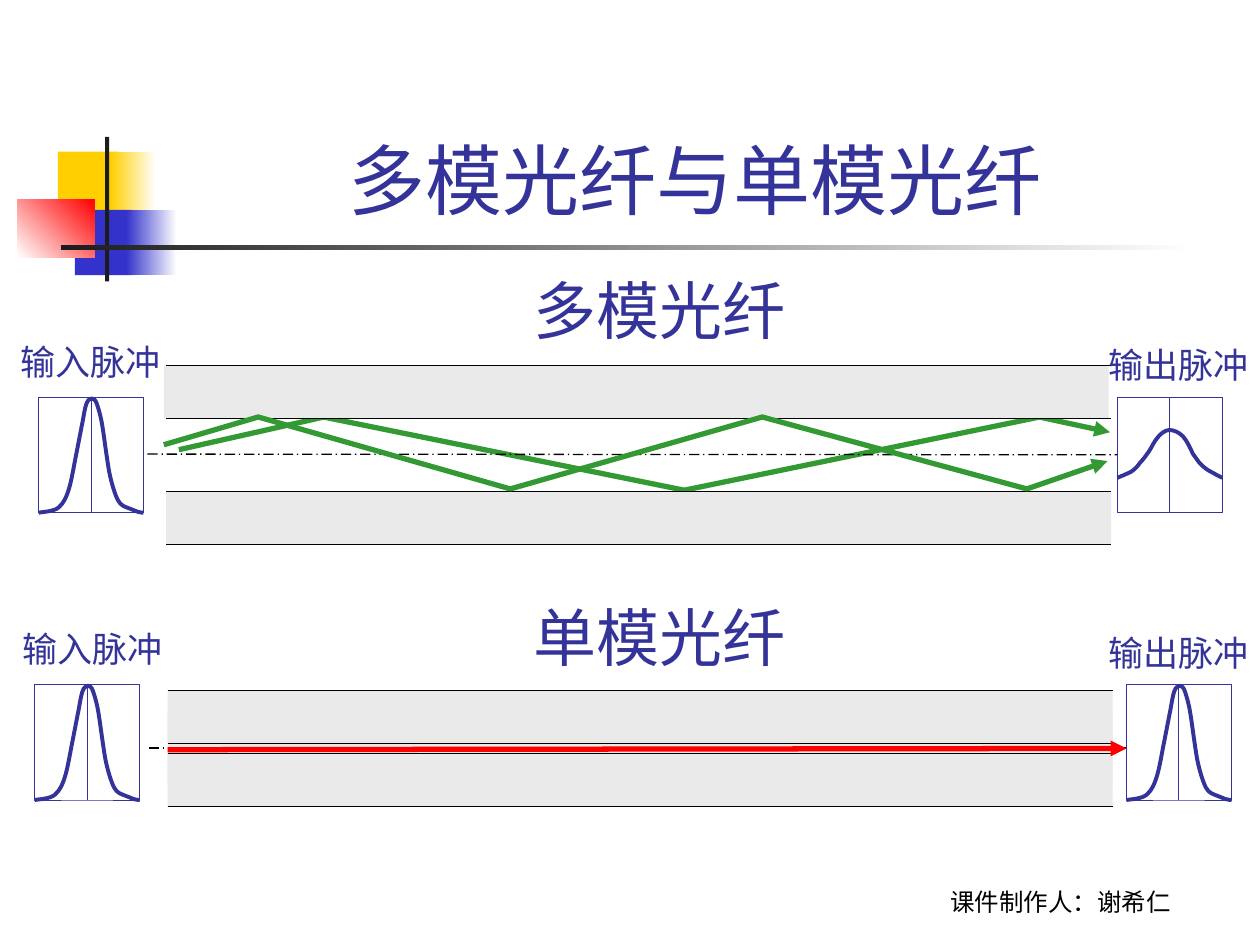
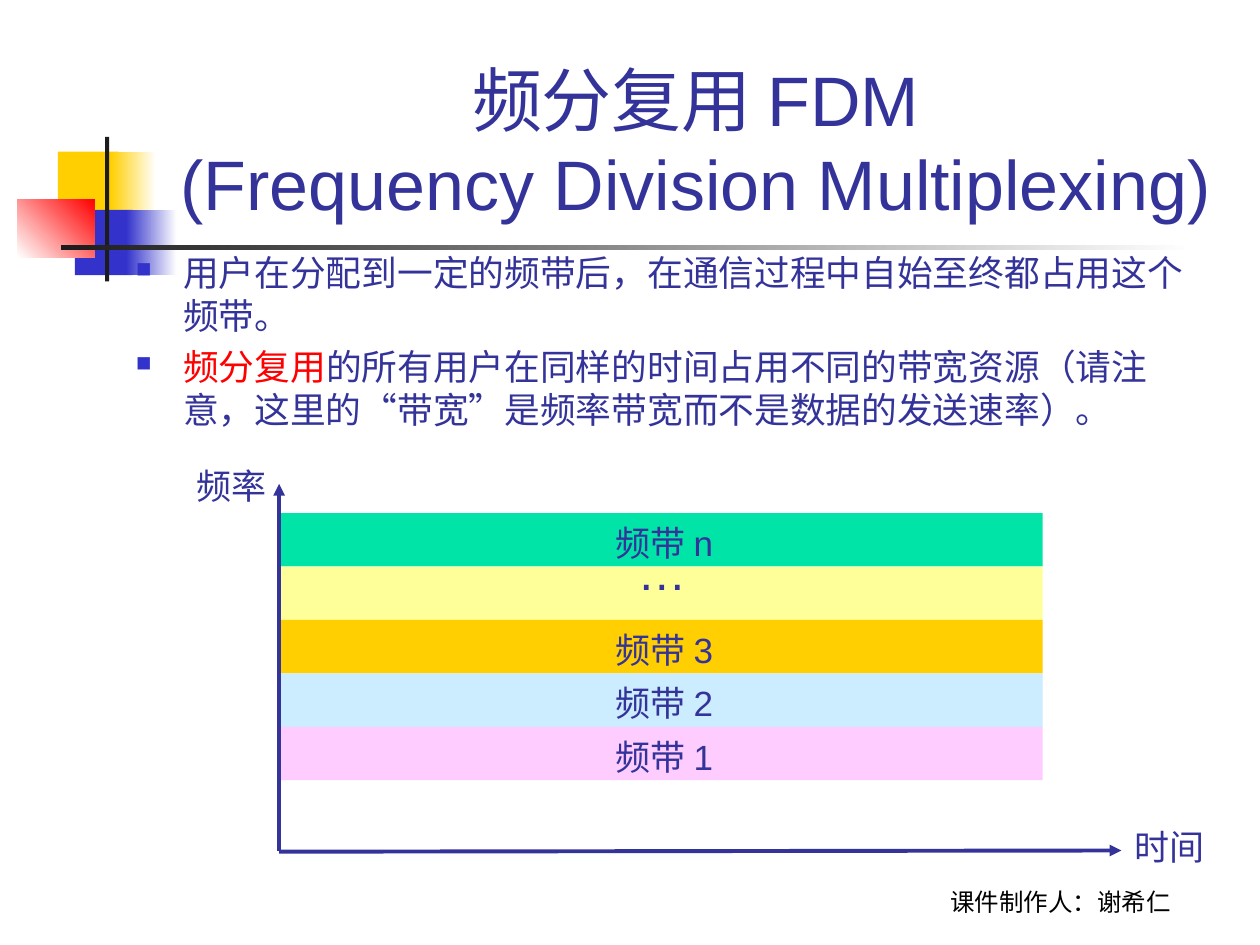
from pptx import Presentation
from pptx.dml.color import RGBColor
from pptx.enum.dml import MSO_LINE
from pptx.enum.shapes import MSO_CONNECTOR, MSO_SHAPE
from pptx.enum.text import MSO_ANCHOR, MSO_AUTO_SIZE, PP_ALIGN
from pptx.oxml.ns import qn
from pptx.oxml.xmlchemy import OxmlElement
from pptx.util import Pt

NAVY, BLUE, GOLD, RED = "333399", "3333CC", "FFCF01", "FF0000"
BLACK, WHITE, INK, GREY, GREEN = "000000", "FFFFFF", "1C1C1C", "EAEAEA", "339933"
CJK = "Noto Sans CJK SC"

# Shared by both slides: left, top, width, height, colour (or start, end, angle)
ORNAMENTS = [
    (33.1, 86.7, 34.6, 37.4, GOLD),
    (63.2, 86.7, 25.9, 37.4, (GOLD, WHITE, 0)),
    (42.8, 119.9, 33.1, 37.4, BLUE),
    (72.2, 119.9, 28.8, 37.4, (BLUE, WHITE, 0)),
    (10.1, 113.8, 43.9, 33.1, (WHITE, RED, 45)),
    (60, 78.2, 2.4, 82.6, INK),
    (34.6, 140.2, 648, 2.4, (INK, WHITE, 0)),
]
TITLE_BOX = (90.7, 16.6, 613.4, 115.5)
FOOTER, FOOTER_BOX = "课件制作人：谢希仁", (492, 491, 228.2, 36)

# Slide 1
FIBRE_TITLE = "多模光纤与单模光纤"
FIBRE_WIDTH, CLADDING_HEIGHT = 540, 30.24
PULSE_WIDTH, PULSE_HEIGHT = 60, 66
PULSE_LABEL_SIZE = (94.3, 31.7)
# Start point, then two control points and an end point for each curve
NARROW_PULSE = [
    (0, 66), (2, 65.5), (8.5, 65.5), (11.5, 63), (14.5, 60.5), (16, 57), (17.5, 52),
    (18.9, 47.5), (20.2, 39.5), (21.5, 33), (22.7, 27), (24.3, 18.5), (25.2, 14),
    (26, 9.5), (26.5, 6.5), (27.2, 4.3), (28, 2), (29, 0.7), (30.3, 0.7),
    (31.6, 0.7), (32.5, 1.5), (33.3, 3.6), (34, 5.8), (35, 8.6), (36, 13.7),
    (37, 18.7), (38.1, 28), (39, 33.8), (39.8, 39), (40, 41), (41, 45.4),
    (42, 49.7), (43.8, 56), (45.5, 59), (47, 62), (49.5, 62.6), (51.5, 63.4),
    (53, 64.5), (53.3, 64), (55, 64.8), (56.2, 65.5), (59, 66), (60, 66),
]
WIDE_PULSE = [
    (0, 46), (1.5, 45.4), (5, 44), (8, 42.5), (10, 41), (11.5, 39.6), (13, 37.4),
    (15, 35.3), (16, 33.8), (18, 31), (19.5, 28.8), (21, 25.2), (23, 23),
    (24.5, 20.9), (27.5, 18.7), (29.7, 18.7), (32.5, 18.7), (35.3, 20.2), (37.4, 22.3),
    (39.6, 24.5), (41.8, 29.5), (43.2, 32.4), (44.6, 34.5), (45.4, 35.3), (46.8, 37.4),
    (48.2, 38.9), (49.7, 40.3), (52, 41.8), (54.7, 43.2), (58.3, 45.4), (60, 46),
]
MULTI_MODE = {
    "name": ("多模光纤", 297.6, 151.5),
    "cladding": [(93.6, 208.8), (95, 280.8)],
    "edge left": 95,
    "axis": (84.2, 259.5, 643.7, 259.9),
    "pulse line": 0.75,
    "pulses": [
        ("输入脉冲", (4.7, 190.8), (22, 227), NARROW_PULSE),
        ("输出脉冲", (626.4, 193), (638.5, 227), WIDE_PULSE),
    ],
}
SINGLE_MODE = {
    "name": ("单模光纤", 297.6, 338.4),
    "cladding": [(95.8, 394.6), (95.8, 430.6)],
    "edge left": 95.8,
    "axis": (85, 427.5, 644.4, 427.5),
    "pulse line": 0.5,
    "pulses": [
        ("输入脉冲", (5.8, 355), (19.8, 391.2), NARROW_PULSE),
        ("输出脉冲", (626.4, 357.1), (643.7, 391.2), NARROW_PULSE),
    ],
}
SINGLE_MODE_CORE = (95.8, 406.8, FIBRE_WIDTH, 41.8)
SINGLE_MODE_RAY = (95.8, 428.4, 643.7, 427.7)
LONG_RAY = [(102.2, 257), (185, 238.3), (391, 280.1), (594, 238.3), (634.3, 247)]
SHORT_RAY = [(93.6, 254.2), (147.6, 238.3), (291.6, 279.4), (435.6, 238.3),
             (586.8, 279.4), (632.9, 263.5)]

# Slide 2
FDM_TITLE = "频分复用 FDM\v(Frequency Division Multiplexing)"
FDM_POINTS = [
    [("用户在分配到一定的频带后，在通信过程中自始至终都占用这个频带。", NAVY)],
    [("频分复用", RED),
     ("的所有用户在同样的时间占用不同的带宽资源（请注意，这里的“带宽”是频率带宽而不是数据的发送速率）。", NAVY)],
]
POINTS_BOX = (70.6, 139.7, 623.5, 141.8)
BANDS = [("频带 n", "00E4A8"), ("…", "FFFF99"), ("频带 3", GOLD),
         ("频带 2", "CCECFF"), ("频带 1", "FFCCFF")]
BAND_LEFT, BAND_TOP, BAND_WIDTH, BAND_HEIGHT, BAND_STEP = 159.5, 293.2, 436.3, 30.5, 30.55
AXES = [(159.5, 486.7, 640.8, 486), (159.5, 486, 159.5, 276.5)]
AXIS_LABELS = [("频率", 105, 264.4), ("时间", 641, 470.9)]


def rgb(colour):
    return RGBColor.from_string(colour)


def assign(target, values):
    for attribute, value in values.items():
        setattr(target, attribute, value)


def add_run(paragraph, text, size, font="Arial", colour=NAVY):
    run = paragraph.add_run()
    run.text = text
    assign(run.font, {"size": Pt(size), "name": font})
    run.font.color.rgb = rgb(colour)
    add_xml(run.font._element, "a:ea", typeface=CJK)


def add_xml(parent, tag, **attributes):
    child = OxmlElement(tag)
    for name, value in attributes.items():
        child.set(name, value)
    parent.append(child)


def add_text(slide, box, text, size, font="Arial", colour=NAVY, frame=None, **paragraph_format):
    text_frame = slide.shapes.add_textbox(*map(Pt, box)).text_frame
    assign(text_frame, frame or {"word_wrap": False, "auto_size": MSO_AUTO_SIZE.SHAPE_TO_FIT_TEXT})
    paragraph = text_frame.paragraphs[0]
    assign(paragraph, paragraph_format)
    add_run(paragraph, text, size, font, colour)


def add_rect(slide, box, fill, line=None):
    """Fill is a colour or (start, end, angle); line is a width in points."""
    rect = slide.shapes.add_shape(MSO_SHAPE.RECTANGLE, *map(Pt, box))
    rect.shadow.inherit = False
    if isinstance(fill, tuple):
        rect.fill.gradient()
        rect.fill.gradient_angle = fill[2]
        for stop, colour in zip(rect.fill.gradient_stops, fill):
            stop.color.rgb = rgb(colour)
    else:
        rect.fill.solid()
        rect.fill.fore_color.rgb = rgb(fill)
    if line:
        style_line(rect.line, NAVY, line)
    else:
        rect.line.fill.background()
    return rect


def style_line(line, colour, width, arrow=False, dash=None):
    line.color.rgb = rgb(colour)
    line.width = Pt(width)
    if dash:
        line.dash_style = dash
    if arrow:
        add_xml(line._get_or_add_ln(), "a:tailEnd", type="triangle")


def add_line(slide, ends, colour=BLACK, width=0.75, **style):
    line = slide.shapes.add_connector(MSO_CONNECTOR.STRAIGHT, *map(Pt, ends))
    style_line(line.line, colour, width, **style)
    add_xml(line._element.spPr, "a:effectLst")
    return line


def add_outline(slide, points, colour, width, arrow=False):
    start, *rest = [(Pt(x), Pt(y)) for x, y in points]
    builder = slide.shapes.build_freeform(*start)
    builder.add_line_segments(rest, close=False)
    outline = builder.convert_to_shape()
    outline.shadow.inherit = False
    outline.fill.background()
    style_line(outline.line, colour, width, arrow)
    return outline


def bend(outline):
    """Turn each three straight segments into one Bézier curve."""
    segments = outline._element.findall(".//" + qn("a:lnTo"))
    for first in range(0, len(segments), 3):
        curve = OxmlElement("a:cubicBezTo")
        segments[first].addprevious(curve)
        for segment in segments[first:first + 3]:
            curve.append(segment[0])
            segment.getparent().remove(segment)


def add_slide(deck, title, size):
    slide = deck.slides.add_slide(deck.slide_layouts[5])
    for *box, fill in ORNAMENTS:
        add_rect(slide, box, fill)
    heading = slide.shapes.title
    assign(heading, dict(zip(("left", "top", "width", "height"), map(Pt, TITLE_BOX))))
    assign(heading.text_frame, {"vertical_anchor": MSO_ANCHOR.BOTTOM, "word_wrap": True,
                                "auto_size": MSO_AUTO_SIZE.NONE})
    paragraph = heading.text_frame.paragraphs[0]
    paragraph.alignment = PP_ALIGN.CENTER
    for number, part in enumerate(title.split("\v")):
        if number:
            paragraph.add_line_break()
        add_run(paragraph, part, size)
    add_text(slide, FOOTER_BOX, FOOTER, 14, "Cabin", BLACK,
             {"word_wrap": True, "vertical_anchor": MSO_ANCHOR.BOTTOM},
             alignment=PP_ALIGN.CENTER)
    return slide


def add_pulse(slide, label, label_at, at, curve, line):
    left, top = at
    frame = add_rect(slide, (left, top, PULSE_WIDTH, PULSE_HEIGHT), WHITE, line)
    middle = left + PULSE_WIDTH / 2
    centre = add_line(slide, (middle, top, middle, top + PULSE_HEIGHT), NAVY, 0.5)
    centre.begin_connect(frame, 0)
    centre.end_connect(frame, 2)
    bend(add_outline(slide, [(left + x, top + y) for x, y in curve], NAVY, 2.25))
    add_text(slide, (*label_at, *PULSE_LABEL_SIZE), label, 20, CJK)


def add_fibre(slide, fibre):
    for left, top in fibre["cladding"]:
        add_rect(slide, (left, top, FIBRE_WIDTH, CLADDING_HEIGHT), GREY)
    left = fibre["edge left"]
    for _, top in fibre["cladding"]:
        for edge in (top, top + CLADDING_HEIGHT):
            add_line(slide, (left, edge, left + FIBRE_WIDTH, edge))
    add_line(slide, fibre["axis"], dash=MSO_LINE.LONG_DASH_DOT)
    for pulse in fibre["pulses"]:
        add_pulse(slide, *pulse, fibre["pulse line"])
    name, *at = fibre["name"]
    add_text(slide, (*at, 158.4, 50.4), name, 36, "Cabin")


def add_fibre_slide(deck):
    slide = add_slide(deck, FIBRE_TITLE, 44)
    add_rect(slide, SINGLE_MODE_CORE, GREY)
    add_fibre(slide, SINGLE_MODE)
    add_outline(slide, LONG_RAY, GREEN, 3, arrow=True)
    add_fibre(slide, MULTI_MODE)
    add_line(slide, SINGLE_MODE_RAY, RED, 3, arrow=True)
    add_outline(slide, SHORT_RAY, GREEN, 3, arrow=True)


def add_points(slide):
    text_frame = slide.shapes.add_textbox(*map(Pt, POINTS_BOX)).text_frame
    text_frame.word_wrap = True
    bullet_format = {"marL": str(Pt(27)), "indent": str(-Pt(27)), "hangingPunct": "0"}
    for number, point in enumerate(FDM_POINTS):
        paragraph = text_frame.add_paragraph() if number else text_frame.paragraphs[0]
        assign(paragraph, {"line_spacing": 1.0, "space_before": Pt(4.8)})
        properties = paragraph._p.get_or_add_pPr()
        for attribute, value in bullet_format.items():
            properties.set(attribute, value)
        add_xml(properties, "a:buClr")
        add_xml(properties[-1], "a:srgbClr", val=BLUE)
        add_xml(properties, "a:buSzPct", val="60000")
        add_xml(properties, "a:buChar", char="■")
        for text, colour in point:
            add_run(paragraph, text, 20.4, colour=colour)


def add_fdm_slide(deck):
    slide = add_slide(deck, FDM_TITLE, 40)
    add_points(slide)
    for row, (_, colour) in enumerate(BANDS):
        top = BAND_TOP + row * BAND_STEP
        add_rect(slide, (BAND_LEFT, top, BAND_WIDTH, BAND_HEIGHT), colour)
    for row, (label, _) in enumerate(BANDS):
        top = BAND_TOP + row * BAND_STEP
        if label == "…":
            add_text(slide, (357.1, top - 14.2, 42.5, 37.4), label, 28, line_spacing=0.9)
        else:
            add_text(slide, (344.7, top + 4, 74.9, 28.8), label, 20, line_spacing=0.9)
    for label, left, top in AXIS_LABELS:
        add_text(slide, (left, top, 55, 28.8), label, 20, "Times New Roman", line_spacing=0.9)
    for ends in AXES:
        add_line(slide, ends, NAVY, 2.25, arrow=True)


def main():
    deck = Presentation()
    deck.slide_width, deck.slide_height = Pt(720), Pt(540)
    add_fibre_slide(deck)
    add_fdm_slide(deck)
    deck.save("out.pptx")


if __name__ == "__main__":
    main()
